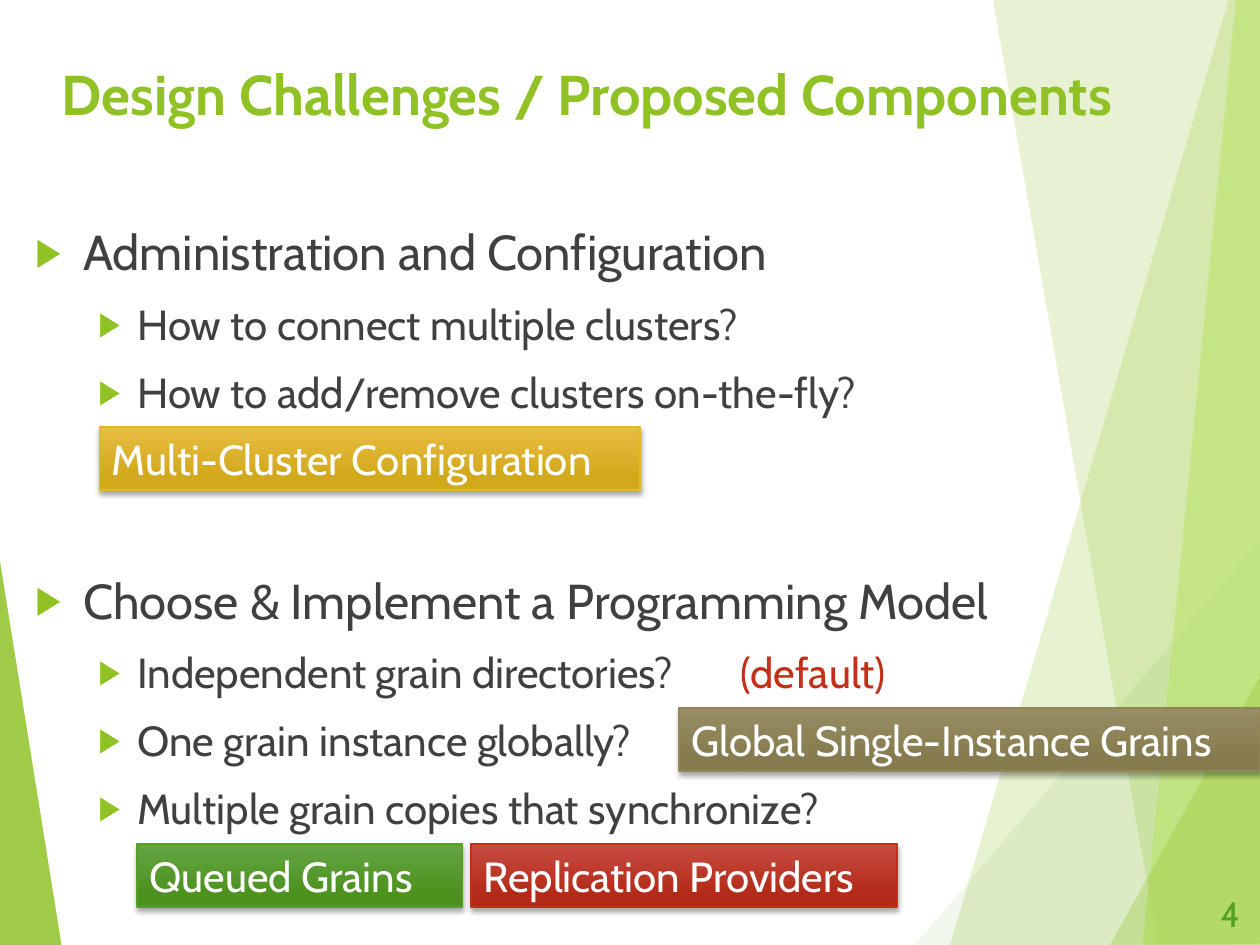
from dataclasses import dataclass

from lxml import etree
from pptx import Presentation
from pptx.dml.color import RGBColor
from pptx.enum.shapes import MSO_SHAPE
from pptx.enum.text import MSO_ANCHOR, MSO_AUTO_SIZE, PP_ALIGN
from pptx.oxml.ns import qn
from pptx.util import Inches, Pt

RECTANGLE = MSO_SHAPE.RECTANGLE
TOP, MIDDLE = MSO_ANCHOR.TOP, MSO_ANCHOR.MIDDLE
LEFT, RIGHT = PP_ALIGN.LEFT, PP_ALIGN.RIGHT
NO_AUTOFIT = MSO_AUTO_SIZE.NONE


@dataclass(frozen=True)
class Theme:
    """Colours, font and type sizes of the slide."""
    font: str = "Cabin"
    lime: str = "90C226"
    pale_lime: str = "C0E474"
    green: str = "54A021"
    red: str = "C42F1A"
    text: str = "404040"
    white: str = "FFFFFF"
    shadow: str = "000000"
    title_size: int = 32
    topic_size: int = 28
    detail_size: int = 24
    number_size: int = 20


THEME = Theme()

FACETS = [
    (THEME.lime, 85, [(-0.01, 4.39), (0.49, 7.51), (-0.01, 7.5)]),
    (THEME.lime, 21, [(9.75, 0), (7.54, 7.5), (10.02, 7.51), (10.01, 0.01)]),
    (THEME.lime, 20, [(7.88, -0.01), (9.19, 7.5), (10.01, 7.5), (10.01, -0.01)]),
    (THEME.green, 8, [(7.26, 7.5), (10, 4.29), (10.01, 7.5)]),
    (THEME.pale_lime, 70, [(9.81, -0.01), (9.07, 7.5), (10.01, 7.5), (10, -0.01)]),
    (THEME.lime, 30, [(8.81, 7.5), (10.01, 5.35), (10.01, 7.49)]),
]

TOPICS = [
    ("Administration and Configuration", [
        "How to connect multiple clusters?",
        "How to add/remove clusters on-the-fly?",
    ]),
    ("Choose & Implement a Programming Model", [
        "Independent grain directories?",
        "One grain instance globally?",
        "Multiple grain copies that synchronize?",
    ]),
]
TOPIC_GAP = 88
DETAIL_GAP = 10

COMPONENTS = [
    ("Multi-Cluster Configuration", 0.79, 3.39, 4.29, "E7BC43", "D2A91B", "E6B91E"),
    ("Global Single-Instance Grains", 5.39, 5.62, 4.61, "988E64", "857B4E", "918655"),
    ("Queued Grains", 1.09, 6.7, 2.58, "63A545", "4D921E", THEME.green),
    ("Replication Providers", 3.74, 6.7, 3.38, "C74B42", "B32B18", THEME.red),
]


def color(value):
    """Turn a hex string into a colour."""
    return RGBColor.from_string(value)


def add_element(parent, tag, **attributes):
    """Append a DrawingML element with the given attributes."""
    element = etree.SubElement(parent, qn(tag))
    for name, value in attributes.items():
        element.set(name, str(value))
    return element


def place(shape, left, top, width, height):
    """Set position and size in inches."""
    shape.left, shape.top = Inches(left), Inches(top)
    shape.width, shape.height = Inches(width), Inches(height)


def add_run(paragraph, text, size, ink, bold=False):
    """Add one formatted run."""
    run = paragraph.add_run()
    run.text = text
    run.font.name = THEME.font
    run.font.size = Pt(size)
    run.font.bold = bold
    run.font.color.rgb = color(ink)


def write_line(shape, text, size, ink, align=LEFT, anchor=TOP, bold=False):
    """Write a single wrapped line into a shape."""
    frame = shape.text_frame
    frame.word_wrap = True
    frame.auto_size = NO_AUTOFIT
    frame.vertical_anchor = anchor
    paragraph = frame.paragraphs[0]
    paragraph.alignment = align
    add_run(paragraph, text, size, ink, bold)


def add_facet(slide, fill, opacity, points):
    """Add a translucent background polygon behind the title."""
    start, *others = [(Inches(x), Inches(y)) for x, y in points]
    builder = slide.shapes.build_freeform(*start)
    builder.add_line_segments(others, close=True)
    facet = builder.convert_to_shape()
    facet.shadow.inherit = False
    facet.line.fill.background()
    facet.fill.solid()
    facet.fill.fore_color.rgb = color(fill)
    solid = facet.element.spPr.find(qn("a:solidFill"))
    add_element(solid[0], "a:alpha", val=opacity * 1000)
    slide.shapes.title.element.addprevious(facet.element)


def set_bullet(paragraph, margin, hanging):
    """Give a paragraph a hanging arrow bullet."""
    properties = paragraph._p.get_or_add_pPr()
    properties.set("marL", str(Inches(margin)))
    properties.set("indent", str(-Inches(hanging)))
    bullet_color = add_element(properties, "a:buClr")
    add_element(bullet_color, "a:srgbClr", val=THEME.lime)
    add_element(properties, "a:buSzPct", val=80000)
    add_element(properties, "a:buFont", typeface=THEME.font)
    add_element(properties, "a:buChar", char="▶")


def add_bullet_line(paragraph, text, level, gap):
    """Fill one bulleted paragraph of the given level."""
    paragraph.level = level
    margin, hanging, size = [
        (0.38, 0.38, THEME.topic_size),
        (0.81, 0.31, THEME.detail_size),
    ][level]
    set_bullet(paragraph, margin, hanging)
    paragraph.space_before = Pt(gap)
    add_run(paragraph, text, size, THEME.text)


def fill_topics(body):
    """Write the two-level list into the body placeholder."""
    place(body, 0.18, 1.71, 9.82, 5.05)
    frame = body.text_frame
    frame.auto_size = NO_AUTOFIT
    frame.vertical_anchor = TOP
    for index, (topic, details) in enumerate(TOPICS):
        paragraph = frame.add_paragraph() if index else frame.paragraphs[0]
        add_bullet_line(paragraph, topic, 0, TOPIC_GAP if index else 0)
        for detail in details:
            add_bullet_line(frame.add_paragraph(), detail, 1, DETAIL_GAP)


def add_component(slide, text, left, top, width, light, dark, outline):
    """Add a gradient label with a soft shadow."""
    label = slide.shapes.add_shape(
        RECTANGLE, Inches(left), Inches(top), Inches(width), Inches(0.5))
    label.fill.gradient()
    label.fill.gradient_angle = 270
    stops = zip(label.fill.gradient_stops, (0, 0.78), (light, dark))
    for stop, position, shade in stops:
        stop.position = position
        stop.color.rgb = color(shade)
    label.line.color.rgb = color(outline)
    label.line.width = Pt(1)
    label.shadow.inherit = False
    effects = label.element.spPr.find(qn("a:effectLst"))
    shadow = add_element(effects, "a:outerShdw", blurRad=Pt(3), dist=Pt(2),
                         dir=90 * 60000, rotWithShape=0)
    shade = add_element(shadow, "a:srgbClr", val=THEME.shadow)
    add_element(shade, "a:alpha", val=35000)
    write_line(label, text, THEME.detail_size, THEME.white, anchor=MIDDLE)


def add_text_box(slide, left, top, width, height):
    """Add an empty text box measured in inches."""
    return slide.shapes.add_textbox(
        Inches(left), Inches(top), Inches(width), Inches(height))


def main():
    """Build and save the slide."""
    presentation = Presentation()
    presentation.slide_width, presentation.slide_height = Inches(10), Inches(7.5)
    slide = presentation.slides.add_slide(presentation.slide_layouts[1])
    for facet in FACETS:
        add_facet(slide, *facet)
    title = slide.shapes.title
    place(title, 0.39, 0.42, 9.61, 1.44)
    write_line(title, "Design Challenges / Proposed Components",
               THEME.title_size, THEME.lime, bold=True)
    fill_topics(slide.placeholders[1])
    number = add_text_box(slide, 9.38, 7.05, 0.56, 0.4)
    write_line(number, "4", THEME.number_size, THEME.green, RIGHT, MIDDLE)
    for component in COMPONENTS:
        add_component(slide, *component)
    default_note = add_text_box(slide, 5.28, 5.08, 2.05, 0.5)
    default_note.text_frame.margin_left = Inches(0.6)
    write_line(default_note, "(default)", THEME.detail_size, THEME.red)
    presentation.save("out.pptx")


if __name__ == "__main__":
    main()
